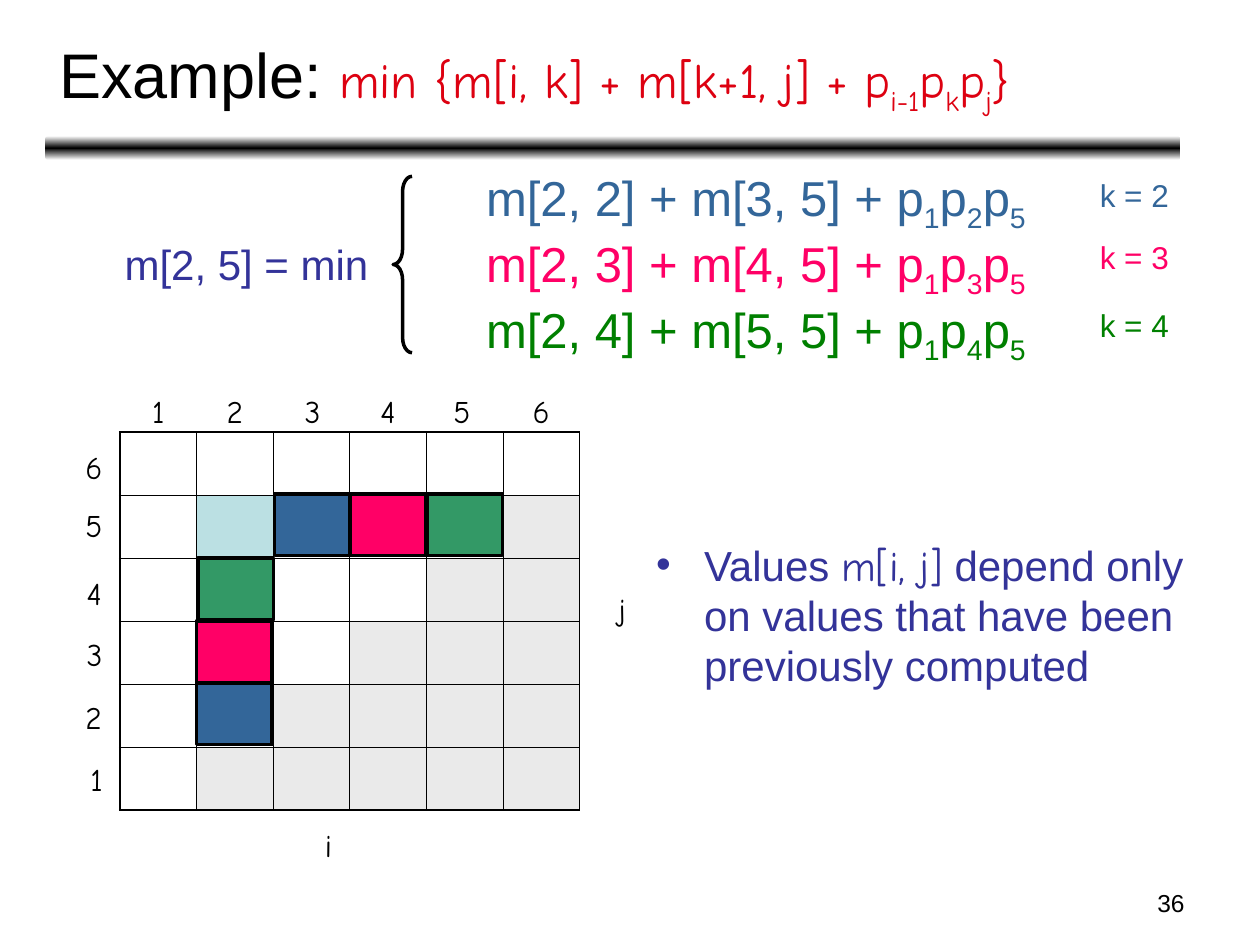
import copy

import pptx
import pptx.dml.color
import pptx.enum.shapes
import pptx.enum.text
import pptx.oxml.ns
import pptx.util
from lxml import etree
from pptx.util import Inches

COLORS = {
    "black": "000000", "white": "FFFFFF", "red": "DD0111", "navy": "333399",
    "blue": "336699", "pink": "FF0066", "green": "008000", "sea": "339966",
    "aqua": "BBE0E3", "gray": "EAEAEA",
}
qn = pptx.oxml.ns.qn
align = pptx.enum.text.PP_ALIGN
shape_kind = pptx.enum.shapes.MSO_SHAPE
auto_size = pptx.enum.text.MSO_AUTO_SIZE


def rgb(name):
    return pptx.dml.color.RGBColor.from_string(COLORS[name])


def write(para, text, size=18, font="Arial", color="black"):
    for index, piece in enumerate(text.split("_")):
        if piece:
            span = para.add_run()
            span.text = piece
            span.font.size = pptx.util.Pt(size)
            span.font.name = font
            span.font.color.rgb = rgb(color)
            if index % 2:
                span._r.get_or_add_rPr().set("baseline", "-25000")


deck = pptx.Presentation()
deck.slide_width, deck.slide_height = Inches(10), Inches(7.5)
page = deck.slides.add_slide(deck.slide_layouts[5])

rule = page.shapes.add_shape(
    shape_kind.ROUNDED_RECTANGLE, Inches(0.36), Inches(1.08), Inches(9.01), Inches(0.19))
rule.shadow.inherit = False
rule.line.fill.background()
rule.fill.gradient()
rule.fill.gradient_angle = 90
stops = rule._element.spPr.find(qn("a:gradFill")).find(qn("a:gsLst"))
stops.insert(1, copy.deepcopy(stops[0]))
stops[1].set("pos", "50000")
for stop, color in zip(rule.fill.gradient_stops, ["white", "black", "white"]):
    stop.color.rgb = rgb(color)

title = page.shapes.title
title.left, title.top = Inches(0.37), Inches(0.11)
title.width, title.height = Inches(9), Inches(0.99)
title.text_frame.auto_size = auto_size.NONE
title.text_frame.vertical_anchor = pptx.enum.text.MSO_ANCHOR.MIDDLE
para = title.text_frame.paragraphs[0]
para.alignment = align.LEFT
write(para, "Example: ", size=36)
write(para, "min {m[i, k] + m[k+1, j] + p_i-1_p_k_p_j_}",
      size=28, font="Comic Neue", color="red")

box = page.shapes.add_textbox(Inches(0.38), Inches(1.33), Inches(8.76), Inches(1.61))
box.text_frame.word_wrap = True
choices = [
    ("m[2, 2] + m[3, 5] + p_1_p_2_p_5_", "blue"),
    ("m[2, 3] + m[4, 5] + p_1_p_3_p_5_", "pink"),
    ("m[2, 4] + m[5, 5] + p_1_p_4_p_5_", "green"),
]
for index, (formula, color) in enumerate(choices):
    para = box.text_frame.add_paragraph() if index else box.text_frame.paragraphs[0]
    para._p.get_or_add_pPr().set("marL", str(Inches(3.38)))
    para.line_spacing = 0.8
    if index:
        para.space_before = pptx.util.Pt(7)
    write(para, formula, size=28, color=color)

size = 6
table = page.shapes.add_table(
    size, size, Inches(0.95), Inches(3.43), Inches(3.65), Inches(3)).table
table.first_row = table.horz_banding = False
for row in range(size):
    for column in range(size):
        cell = table.cell(row, column)
        outer_edges = {"lnL": column == 0, "lnR": column == size - 1,
                       "lnT": row == 0, "lnB": row == size - 1}
        properties = cell._tc.get_or_add_tcPr()
        for edge, is_outer in outer_edges.items():
            width = pptx.util.Pt(1.08 if is_outer else 0.45)
            line = etree.SubElement(properties, qn("a:" + edge), w=str(width))
            solid = etree.SubElement(line, qn("a:solidFill"))
            etree.SubElement(solid, qn("a:srgbClr"), val=COLORS["black"])
        if (row, column) == (1, 1):
            fill = "aqua"
        else:
            fill = "gray" if row + column >= size else None
        if fill:
            cell.fill.solid()
            cell.fill.fore_color.rgb = rgb(fill)
        else:
            cell.fill.background()

column_lefts = [1.11, 1.7, 2.32, 2.92, 3.5, 4.13]
row_places = [(0.62, 5.98), (0.58, 5.49), (0.59, 4.99),
              (0.59, 4.51), (0.58, 3.97), (0.58, 3.51)]
labels = [("i", 2.48, 6.51, 0.25, "Comic Neue", "black"),
          ("j", 4.81, 4.63, 0.26, "Comic Neue", "black")]
for number, (column_left, (left, top)) in enumerate(zip(column_lefts, row_places), 1):
    labels.append((str(number), column_left, 3.06, 0.33, "Comic Neue", "black"))
    labels.append((str(number), left, top, 0.33, "Comic Neue", "black"))
for k, top, color in [(2, 1.35, "blue"), (3, 1.84, "pink"), (4, 2.38, "green")]:
    labels.append((f"k = {k}", 8.63, top, 0.75, "Arial", color))
for text, left, top, width, font, color in labels:
    label = page.shapes.add_textbox(Inches(left), Inches(top), Inches(width), Inches(0.4))
    label.text_frame.word_wrap = False
    label.text_frame.auto_size = auto_size.SHAPE_TO_FIT_TEXT
    write(label.text_frame.paragraphs[0], text, font=font, color=color)

brace = page.shapes.add_shape(
    shape_kind.LEFT_BRACE, Inches(3.12), Inches(1.4), Inches(0.15), Inches(1.4))
brace.shadow.inherit = False
brace.adjustments[0] = 0.8
brace.fill.background()
brace.line.color.rgb = rgb("black")
brace.line.width = pptx.util.Pt(2)

pairs = [("blue", 1.56, 5.42, 2.18), ("pink", 1.56, 4.93, 2.78), ("sea", 1.57, 4.43, 3.39)]
for color, lower_left, lower_top, upper_left in pairs:
    for left, top in [(lower_left, lower_top), (upper_left, 3.92)]:
        block = page.shapes.add_shape(
            shape_kind.RECTANGLE, Inches(left), Inches(top), Inches(0.6), Inches(0.49))
        block.shadow.inherit = False
        block.fill.solid()
        block.fill.fore_color.rgb = rgb(color)
        block.line.color.rgb = rgb("black")
        block.line.width = pptx.util.Pt(2)

box = page.shapes.add_textbox(Inches(0.89), Inches(1.84), Inches(2.57), Inches(0.68))
box.text_frame.word_wrap = True
write(box.text_frame.paragraphs[0], "m[2, 5] = min", size=24, color="navy")

box = page.shapes.add_textbox(Inches(5.11), Inches(4.23), Inches(4.65), Inches(2.57))
box.text_frame.word_wrap = True
para = box.text_frame.paragraphs[0]
properties = para._p.get_or_add_pPr()
properties.set("marL", str(Inches(0.38)))
properties.set("indent", str(Inches(-0.38)))
bullet_color = etree.SubElement(properties, qn("a:buClr"))
etree.SubElement(bullet_color, qn("a:srgbClr"), val=COLORS["navy"])
etree.SubElement(properties, qn("a:buFont"), typeface="Arial")
etree.SubElement(properties, qn("a:buChar"), char="•")
write(para, "Values ", size=24, color="navy")
write(para, "m[i, j]", size=24, font="Comic Neue", color="navy")
write(para, " depend only on values that have been previously computed", size=24, color="navy")

box = page.shapes.add_textbox(Inches(7.17), Inches(7), Inches(2.33), Inches(0.35))
box.text_frame.word_wrap = True
para = box.text_frame.paragraphs[0]
para.alignment = align.RIGHT
write(para, "36", size=14)

deck.save("out.pptx")
